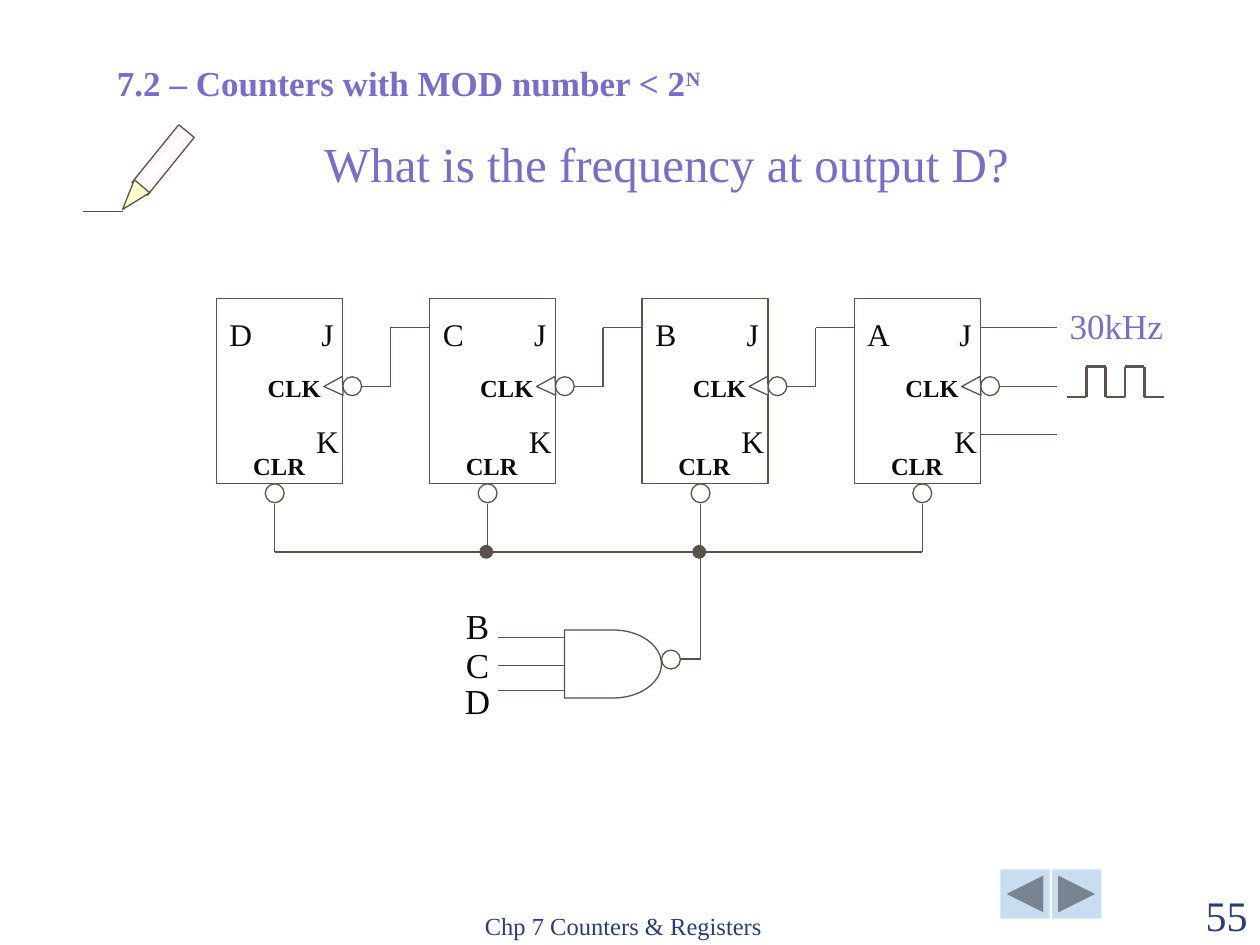
"""Build a slide showing a ripple counter and a question on its output frequency."""
from copy import deepcopy
from dataclasses import dataclass
from itertools import pairwise

from pptx import Presentation
from pptx.dml.color import RGBColor
from pptx.enum import shapes, text
from pptx.oxml import ns
from pptx.util import Inches, Pt
from lxml import etree

SHAPE = shapes.MSO_SHAPE
ALIGN = text.PP_ALIGN
ANCHOR = text.MSO_ANCHOR
FIT = text.MSO_AUTO_SIZE


@dataclass(frozen=True)
class Theme:
    font: str = "Times New Roman"
    accent: str = "786DCB"
    ink: str = "0C0B0A"
    line: str = "5B5249"
    footer: str = "2A3D7A"
    button: str = "C9DDF1"
    paper: str = "FFFFFF"
    pink: str = "FFC0D8"
    wood: str = "FFFFCC"
    title: int = 28
    number: int = 24
    label: int = 20
    pin: int = 18
    small: int = 14
    thin: float = 0.75
    thick: float = 1.5


T = Theme()
BUBBLE = 0.15
STAGE_LEFT, STAGE_TOP, STAGE_PITCH = 1.72, 2.37, 1.6875
STAGE_W, STAGE_H = 1, 1.47
J_Y, CLK_Y, K_Y, CLEAR_Y, BUS_Y, GATE_Y = 2.6, 3.07, 3.45, 4, 4.38, 5.23
CLEAR_XS = (2.18, 3.87, 5.56, 7.32)


def rgb(value):
    return RGBColor.from_string(value)


def add_run(p, content, size, color, bold=False, superscript=False):
    r = p.add_run()
    r.text = content
    r.font.name, r.font.size, r.font.bold = T.font, Pt(size), bold
    r.font.color.rgb = rgb(color)
    if superscript:
        r.font._element.set("baseline", "30000")


def add_text(s, content, box, size=T.label, color=T.ink, bold=False, align=ALIGN.LEFT,
             anchor=ANCHOR.TOP, wrap=True, grow=True, inset=True, sp=None):
    if sp is None:
        sp = s.shapes.add_textbox(*map(Inches, box))
    else:
        sp.left, sp.top, sp.width, sp.height = map(Inches, box)
    tf = sp.text_frame
    tf.word_wrap, tf.vertical_anchor = wrap, anchor
    tf.auto_size = FIT.SHAPE_TO_FIT_TEXT if grow else FIT.NONE
    if not inset:
        tf.margin_left = tf.margin_top = tf.margin_right = tf.margin_bottom = 0
    p = tf.paragraphs[0]
    p.alignment = align
    add_run(p, content, size, color, bold)
    return p


def add_shape(s, kind, box, fill=T.paper, line=T.line, rotation=0):
    sp = s.shapes.add_shape(kind, *map(Inches, box))
    sp.shadow.inherit = False
    sp.rotation = rotation
    if fill:
        sp.fill.solid()
        sp.fill.fore_color.rgb = rgb(fill)
    else:
        sp.fill.background()
    if line:
        sp.line.color.rgb, sp.line.width = rgb(line), Pt(T.thin)
    else:
        sp.line.fill.background()
    return sp


def add_wire(s, *points, width=T.thin):
    for start, end in pairwise(points):
        sp = s.shapes.add_connector(shapes.MSO_CONNECTOR.STRAIGHT,
                                    *map(Inches, (*start, *end)))
        sp.line.color.rgb, sp.line.width = rgb(T.line), Pt(width)
        etree.SubElement(sp._element.spPr, ns.qn("a:effectLst"))


def add_bubble(s, left, top):
    add_shape(s, SHAPE.OVAL, (left, top, BUBBLE, BUBBLE))


def add_pencil(s):
    fill = add_shape(s, SHAPE.RECTANGLE, (1, 1.19, 0.59, 0.16), rotation=309).fill
    fill.gradient()
    fill.gradient_angle = 90
    first = fill.gradient_stops[0]._gs
    first.addnext(deepcopy(first))
    for stop, position, color in zip(fill.gradient_stops, (0, 0.5, 1), (T.pink, T.paper, T.pink)):
        stop.position, stop.color.rgb = position, rgb(color)
    add_shape(s, SHAPE.ISOSCELES_TRIANGLE, (0.97, 1.45, 0.16, 0.24), T.wood, rotation=220.1)
    add_wire(s, (0.66, 1.68), (0.98, 1.68))


def add_clock(s):
    low, high, step = 3.15, 2.91, 0.153
    points = [(8.47, low)]
    for i, (before, after) in enumerate([(low, high), (high, low)] * 2, 1):
        x = 8.47 + i * step
        points += [(x, before), (x, after)]
    add_wire(s, *points, (8.47 + 5 * step, low), width=T.thick)
    add_text(s, "30kHz", (8.39, 2.37, 0.94, 0.43), color=T.accent, wrap=False)


def add_clear_logic(s):
    first, _, gate_x, last = CLEAR_XS
    add_wire(s, (first, CLEAR_Y), (first, BUS_Y), (last, BUS_Y), (last, CLEAR_Y))
    add_wire(s, (CLEAR_XS[1], CLEAR_Y), (CLEAR_XS[1], BUS_Y))
    add_wire(s, (gate_x, CLEAR_Y), (gate_x, GATE_Y), (5.4, GATE_Y))
    add_shape(s, SHAPE.FLOWCHART_DELAY, (4.48, 5, 0.77, 0.54), fill=None)
    add_bubble(s, 5.25, 5.16)
    inputs = (("B", 5.06, 4.75, 0.43), ("C", 5.28, 5.11, 0.33), ("D", 5.48, 5.34, 0.43))
    for name, y, top, height in inputs:
        add_wire(s, (3.95, y), (4.48, y))
        add_text(s, name, (3.56, top, 0.46, height), align=ALIGN.CENTER, inset=name != "C")


def add_flip_flop(s, name, x, clear_x):
    right = x + STAGE_W
    add_shape(s, SHAPE.RECTANGLE, (x, STAGE_TOP, STAGE_W, STAGE_H))
    add_bubble(s, right, 2.99)
    add_shape(s, SHAPE.ISOSCELES_TRIANGLE, (right - BUBBLE, 2.99, BUBBLE, BUBBLE), rotation=268)
    for label, dx, top in ((name, 0, 2.45), ("J", 0.69, 2.45), ("K", 0.69, 3.3)):
        add_text(s, label, (x + dx, top, 0.38, 0.4), size=T.pin, align=ALIGN.CENTER)
    for label, dx, top, width in (("CLK", 0.23, 2.91, 0.77), ("CLR", 0.15, 3.53, 0.69)):
        add_text(s, label, (x + dx, top, width, 0.33), size=T.small, bold=True,
                 align=ALIGN.CENTER)
    add_bubble(s, clear_x - BUBBLE / 2, STAGE_TOP + STAGE_H)


def add_counter(s):
    for i, (name, clear_x) in enumerate(zip("DCBA", CLEAR_XS)):
        x = STAGE_LEFT + i * STAGE_PITCH
        add_flip_flop(s, name, x, clear_x)
        if i:
            add_wire(s, (x, J_Y), (x - 0.31, J_Y), (x - 0.31, CLK_Y), (x - 0.54, CLK_Y))
    for start, y in ((7.78, J_Y), (7.93, CLK_Y), (7.78, K_Y)):
        add_wire(s, (start, y), (8.39, y))
    for x in CLEAR_XS[1:3]:
        add_shape(s, SHAPE.OVAL, (x - 0.06, BUS_Y - 0.05, 0.1, 0.1), T.line)


def add_footer(s):
    buttons = ((SHAPE.ACTION_BUTTON_BACK_OR_PREVIOUS, 7.94),
               (SHAPE.ACTION_BUTTON_FORWARD_OR_NEXT, 8.35))
    for kind, x in buttons:
        add_shape(s, kind, (x, 6.9, 0.39, 0.39), T.button, line=None)
    add_text(s, "Chp 7 Counters & Registers", (3.75, 7.01, 3.17, 0.5), size=T.small,
             color=T.footer, anchor=ANCHOR.BOTTOM, grow=False)
    add_text(s, "55", (9, 7.01, 1, 0.5), size=T.number, color=T.footer,
             align=ALIGN.RIGHT, anchor=ANCHOR.BOTTOM, grow=False)


def main():
    prs = Presentation()
    prs.slide_width, prs.slide_height = Inches(10), Inches(7.5)
    s = prs.slides.add_slide(prs.slide_layouts[5])
    add_footer(s)
    add_text(s, "What is the frequency at output D?", (1.76, 1.1, 7.06, 0.48), size=T.title,
             color=T.accent, align=ALIGN.CENTER, anchor=ANCHOR.BOTTOM, grow=False,
             sp=s.shapes.title)
    add_pencil(s)
    p = add_text(s, "7.2 – Counters with MOD number < 2", (0.83, 0.44, 5.59, 0.43),
                 color=T.accent, bold=True)
    add_run(p, "N", T.label, T.accent, bold=True, superscript=True)
    add_clock(s)
    add_clear_logic(s)
    add_counter(s)
    prs.save("out.pptx")


if __name__ == "__main__":
    main()
